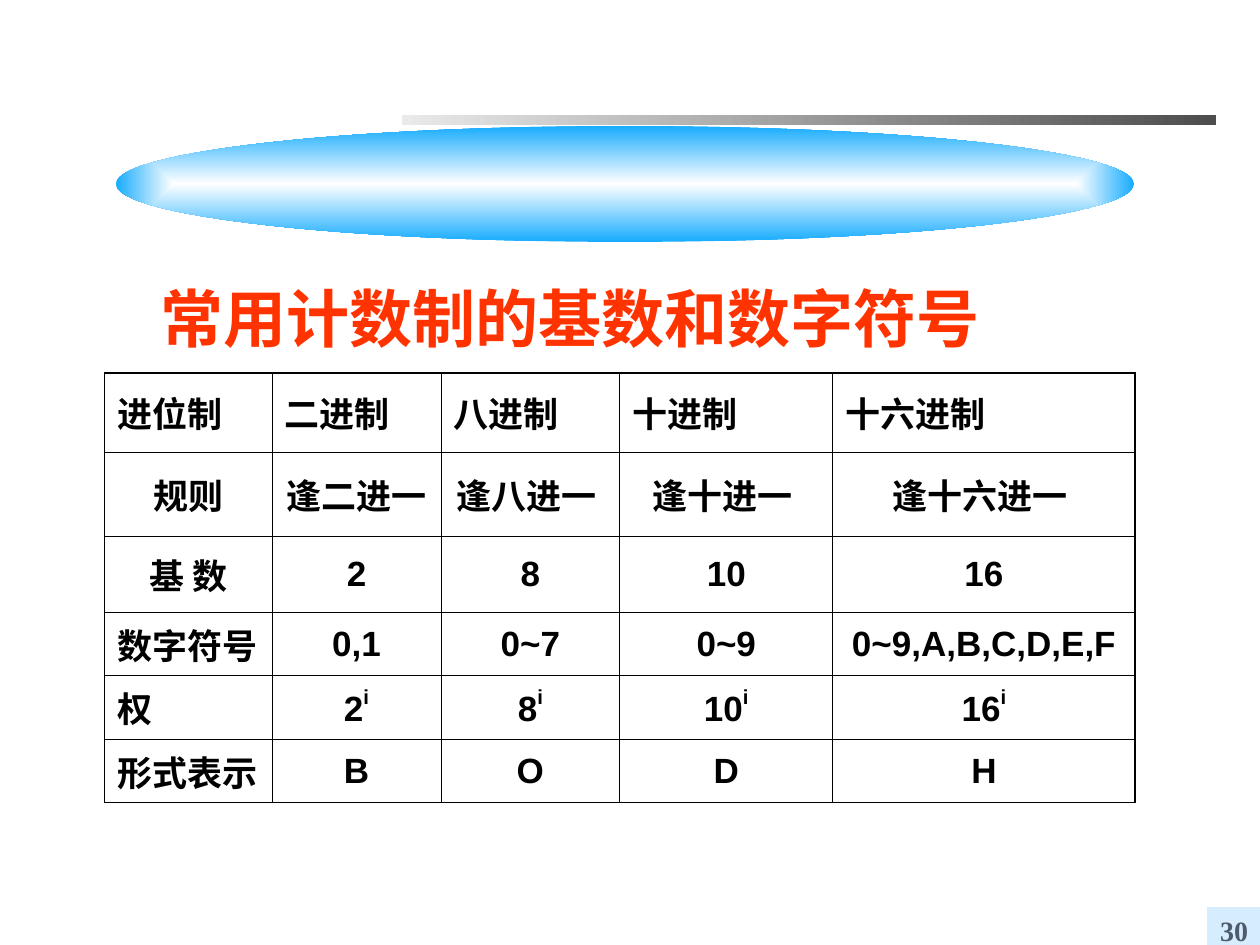
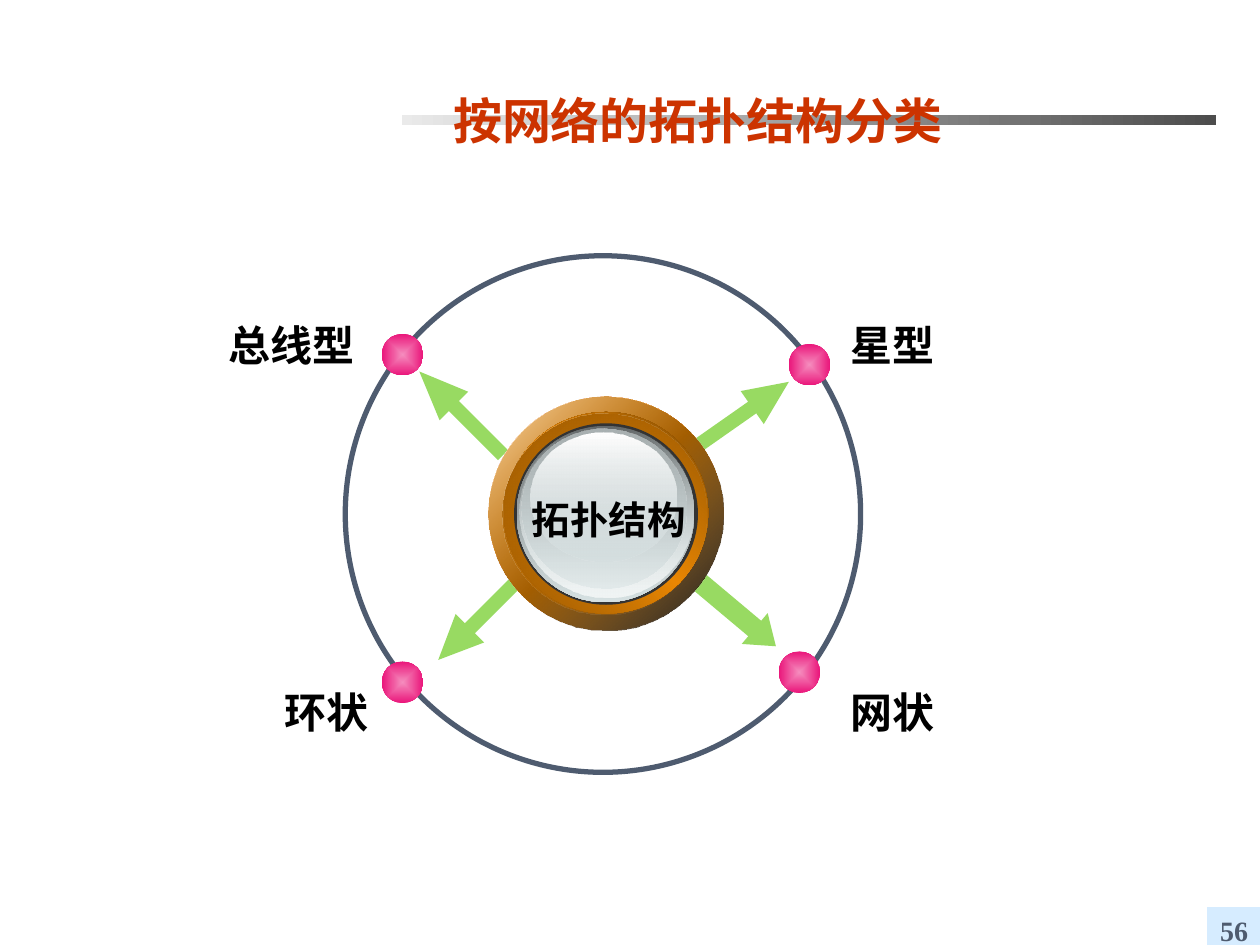
from lxml import etree
from pptx import Presentation
from pptx.dml.color import RGBColor
from pptx.enum import shapes as es, text as et
from pptx.oxml.ns import qn
from pptx.util import Inches, Pt

# Colours
WHITE = RGBColor(0xFF, 0xFF, 0xFF)
BLACK = RGBColor(0, 0, 0)
SILVER = RGBColor(0xEA, 0xEA, 0xEA)
SMOKE = RGBColor(0x4D, 0x4D, 0x4D)
SLATE = RGBColor(0x4E, 0x5B, 0x6F)
PALE = RGBColor(0xD6, 0xEC, 0xFF)
BLUE = RGBColor(0x18, 0xAC, 0xFE)
RED = RGBColor(0xFF, 0x33, 0x00)
BRICK = RGBColor(0xCC, 0x33, 0x00)
GREEN = RGBColor(0x7F, 0xD1, 0x3B)
ROSE = RGBColor(0xF5, 0x8D, 0xBE)
PINK = RGBColor(0xEA, 0x15, 0x7A)
AMBER = RGBColor(0xEB, 0x88, 0x03)
BROWN = RGBColor(0x7F, 0x4A, 0x02)
RUST = RGBColor(0x95, 0x56, 0x02)
COAL = RGBColor(0x33, 0x33, 0x33)
STEEL = RGBColor(0x63, 0x68, 0x69)
ASH = RGBColor(0xAA, 0xB2, 0xB3)
MIST = RGBColor(0xD6, 0xE1, 0xE2)
FROST = RGBColor(0xF1, 0xF5, 0xF5)

HAN = "Noto Sans CJK SC"
LEFT, MID, RIGHT = et.PP_ALIGN.LEFT, et.PP_ALIGN.CENTER, et.PP_ALIGN.RIGHT
OVAL, RECT, ARROW = (es.MSO_SHAPE.OVAL, es.MSO_SHAPE.RECTANGLE,
                     es.MSO_SHAPE.RIGHT_ARROW)

# Text formats
HEAD1 = dict(name=HAN, size=Pt(36), bold=True, color=RED)
HEAD2 = dict(name=HAN, size=Pt(28), bold=True, color=BRICK)
PAGE = dict(name="Times New Roman", size=Pt(16), bold=True, color=SLATE)
CELL = dict(name="Arial", size=Pt(20), bold=True, color=BLACK)
LABEL = dict(CELL, size=Pt(24))
CORE = dict(CELL, size=Pt(22))

# Slide 1 content; "^" marks a superscript
ROWS = [
    ["进位制", "二进制", "八进制", "十进制", "十六进制"],
    ["规则", "逢二进一 ", "逢八进一 ", "逢十进一 ", "逢十六进一 "],
    ["基 数", "2", "8", "10", "16"],
    ["数字符号", "0,1", "0~7", "0~9", "0~9,A,B,C,D,E,F"],
    ["权", "2^i", "8^i", "10^i", "16^i"],
    ["形式表示", "B", "O", "D", "H"],
]
WIDTHS = [1.33, 1.34, 1.42, 1.69, 2.4]
HEIGHTS = [0.63, 0.67, 0.6, 0.46, 0.46, 0.46]
MIDROWS = (1, 2)  # rows whose first cell is centred too

# Slide 2 content: label, its box, alignment, and peg corner
NODES = [
    ("总线型", (1.61, 2.49, 1.3, 0.5), RIGHT, (3.03, 2.65)),
    ("星型", (6.65, 2.49, 1.31, 0.5), LEFT, (6.26, 2.73)),
    ("环状", (1.46, 5.4, 1.56, 0.5), RIGHT, (3.03, 5.25)),
    ("网状", (6.65, 5.4, 1.7, 0.5), LEFT, (6.18, 5.17)),
]
PEG = 0.33
# Arrow box, turn, shaft and head ratios
ARROWS = [
    ((5.39, 4.69, 0.87, 0.32), 40, (0.5, 0.686)),
    ((3.35, 4.77, 0.87, 0.32), 135, (0.352, 1.111)),
    ((5.47, 3.12, 0.87, 0.32), 325, (0.352, 1.11)),
    ((3.19, 3.12, 0.94, 0.32), 225, (0.352, 1.211)),
]
# Button layers, back to front: box, angle, stops (place, colour, opacity)
LAYERS = [
    ((3.88, 3.15, 1.86, 1.85), 45, [(0, WHITE), (50, AMBER), (100, WHITE)]),
    ((3.88, 3.15, 1.86, 1.85), 45, [(0, AMBER, 32), (100, BLACK, 90)]),
    ((4, 3.27, 1.62, 1.6), 315, [(0, BROWN), (50, AMBER), (100, BROWN)]),
    ((3.99, 3.28, 1.62, 1.6), 45, [(0, RUST), (100, AMBER, 0)]),
    ((4.08, 3.36, 1.46, 1.44), 0, [(0, COAL)]),
    ((4.1, 3.38, 1.41, 1.4), 90, [(0, STEEL), (100, MIST)]),
    ((4.12, 3.38, 1.38, 1.36), 90, [(0, MIST, 0), (100, FROST)]),
    ((4.14, 3.4, 1.31, 1.27), 90, [(0, ASH), (100, MIST, 48)]),
    ((4.21, 3.43, 1.16, 1.03), 90, [(0, WHITE), (100, MIST, 38)]),
]


def node(dad, tag, **attrs):
    kid = etree.SubElement(dad, qn("a:" + tag))
    for key, val in attrs.items():
        kid.set(key, str(val))
    return kid


def tint(dad, color, alpha=100):
    kid = node(dad, "srgbClr", val=color)
    if alpha < 100:
        node(kid, "alpha", val=alpha * 1000)


def paint(shape, stops, angle=None):
    """One stop gives a flat fill; no angle gives a gradient from the centre."""
    flat = len(stops) == 1
    if flat:
        shape.fill.solid()
    else:
        shape.fill.gradient()
    fill = shape.element.spPr.find(qn("a:solidFill" if flat else "a:gradFill"))
    fill.clear()
    if flat:
        tint(fill, *stops[0][1:])
        return
    fill.set("rotWithShape", "1")
    group = node(fill, "gsLst")
    for place, *tone in stops:
        tint(node(group, "gs", pos=place * 1000), *tone)
    if angle is None:
        way = node(fill, "path", path="rect")
        node(way, "fillToRect", l=50000, t=50000, r=50000, b=50000)
    else:
        node(fill, "lin", ang=angle * 60000, scaled=0)


def draw(slide, kind, box, stops, angle=None):
    shape = slide.shapes.add_shape(kind, *map(Inches, box))
    shape.shadow.inherit = False
    shape.line.fill.background()
    if stops:
        paint(shape, stops, angle)
    else:
        shape.fill.background()
    return shape


def write(frame, words, align, form):
    para = frame.paragraphs[0]
    para.alignment = align
    for n, part in enumerate(words.split("^")):
        run = para.add_run()
        run.text = part
        for key, val in form.items():
            if key == "color":
                run.font.color.rgb = val
            else:
                setattr(run.font, key, val)
        props = run.font._element
        node(props, "ea", typeface=HAN)
        if n:
            props.set("baseline", "50000")


def label(slide, words, box, align, form, wrap=True):
    frame = slide.shapes.add_textbox(*map(Inches, box)).text_frame
    frame.word_wrap = wrap
    write(frame, words, align, form)


def start(deck, title, box, align, form, page):
    """Add a slide with the shared bar, page number and title."""
    slide = deck.slides.add_slide(deck.slide_layouts[5])
    draw(slide, RECT, (3.19, 0.91, 6.46, 0.08), [(0, SILVER), (100, SMOKE)], 0)
    tag = draw(slide, RECT, (9.58, 7.2, 0.43, 0.36), [(0, PALE)]).text_frame
    tag.margin_left = tag.margin_right = Inches(0.02)
    tag.margin_top = tag.margin_bottom = 0
    tag.vertical_anchor = et.MSO_ANCHOR.MIDDLE
    write(tag, page, MID, PAGE)

    head = slide.shapes.title
    head.left, head.top, head.width, head.height = map(Inches, box)
    frame = head.text_frame
    frame.auto_size = et.MSO_AUTO_SIZE.NONE
    frame.vertical_anchor = et.MSO_ANCHOR.TOP
    write(frame, title, align, form)
    slide.shapes.element.append(head.element)  # title above the bar
    return slide


def edge(cell, row, col):
    """Thick lines round the table, thin ones inside."""
    props = cell._tc.get_or_add_tcPr()
    outer = dict(L=col == 0, R=col == len(WIDTHS) - 1,
                 T=row == 0, B=row == len(ROWS) - 1)
    for side, thick in outer.items():
        line = node(props, "ln" + side, w=Pt(1.08 if thick else 0.45))
        tint(node(line, "solidFill"), BLACK)


def bases(deck):
    slide = start(deck, "常用计数制的基数和数字符号",
                  (1.17, 2.17, 7.08, 0.7), LEFT, HEAD1, "30")
    draw(slide, OVAL, (0.92, 1, 8.08, 0.92), [(0, WHITE), (100, BLUE)])

    box = (0.83, 2.96, sum(WIDTHS), sum(HEIGHTS))
    table = slide.shapes.add_table(len(ROWS), len(WIDTHS),
                                   *map(Inches, box)).table
    table.first_row = table.horz_banding = False
    for col, width in zip(table.columns, WIDTHS):
        col.width = Inches(width)
    for r, words in enumerate(ROWS):
        table.rows[r].height = Inches(HEIGHTS[r])
        for c, word in enumerate(words):
            cell = table.cell(r, c)
            edge(cell, r, c)
            cell.fill.background()
            cell.vertical_anchor = et.MSO_ANCHOR.MIDDLE
            mid = r in MIDROWS or (r and c)
            write(cell.text_frame, word, MID if mid else LEFT, CELL)


def nets(deck):
    slide = start(deck, "按网络的拓扑结构分类",
                  (0.58, 0.67, 7, 0.53), RIGHT, HEAD2, "56")
    # Arrows and ring
    for box, turn, ratios in ARROWS:
        arrow = draw(slide, ARROW, box, [(0, GREEN, 80)])
        arrow.rotation = turn
        for n, ratio in enumerate(ratios):
            arrow.adjustments[n] = ratio
    ring = draw(slide, OVAL, (2.74, 2.03, 4.09, 4.1), [])
    ring.line.color.rgb = SLATE
    ring.line.width = Pt(3)
    # Labels and pegs
    for words, box, align, peg in NODES:
        label(slide, words, box, align, LABEL)
        draw(slide, OVAL, (*peg, PEG, PEG), [(0, ROSE), (100, PINK)])
    # Centre button
    for box, angle, stops in LAYERS:
        draw(slide, OVAL, box, stops, angle)
    label(slide, "拓扑结构", (4.12, 3.89, 1.42, 0.47), MID, CORE, wrap=False)


def main():
    deck = Presentation()
    deck.slide_width, deck.slide_height = Inches(10), Inches(7.5)
    bases(deck)
    nets(deck)
    deck.save("out.pptx")


if __name__ == "__main__":
    main()
